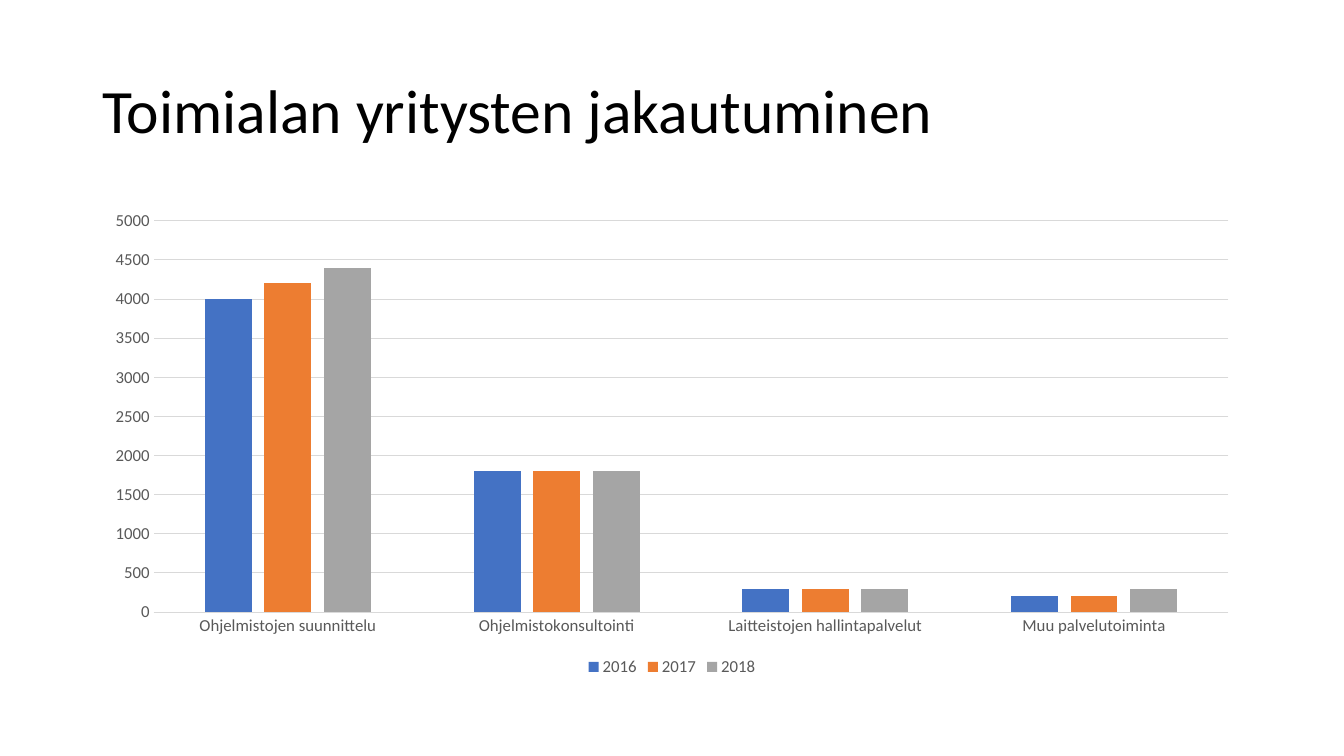
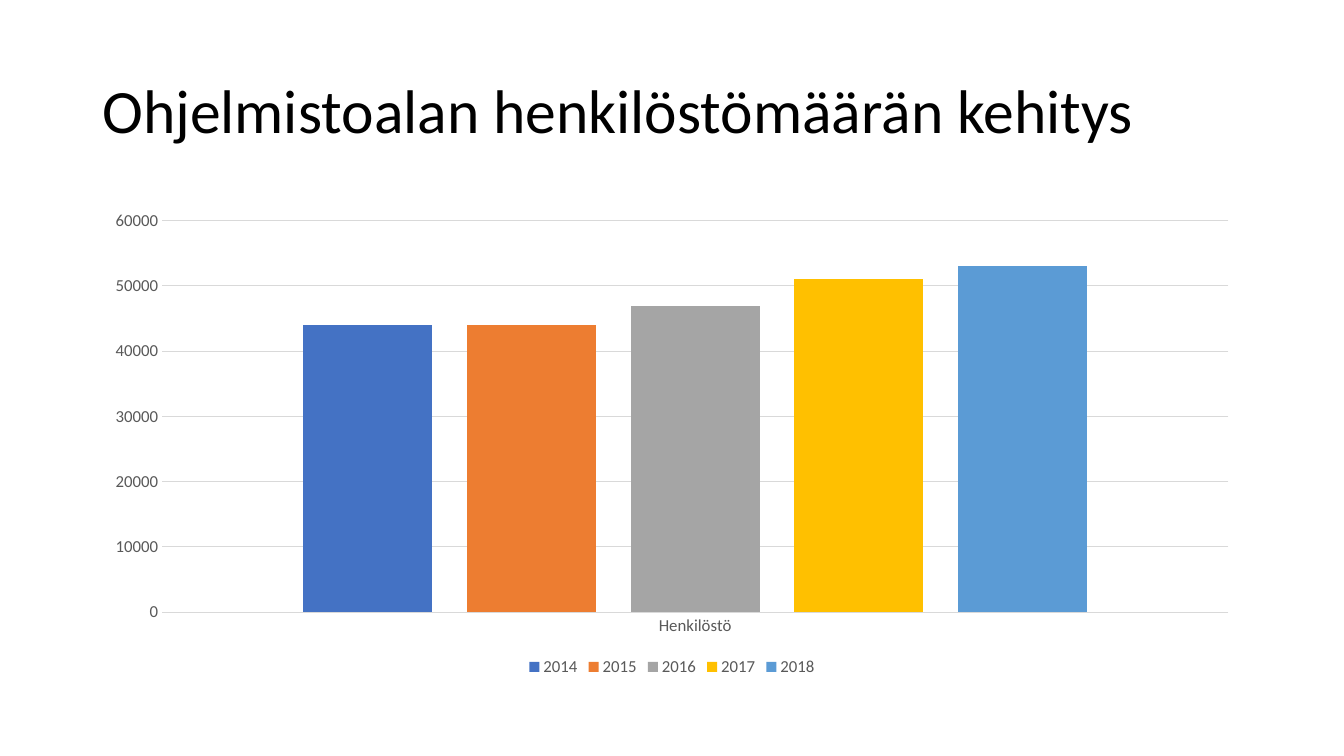
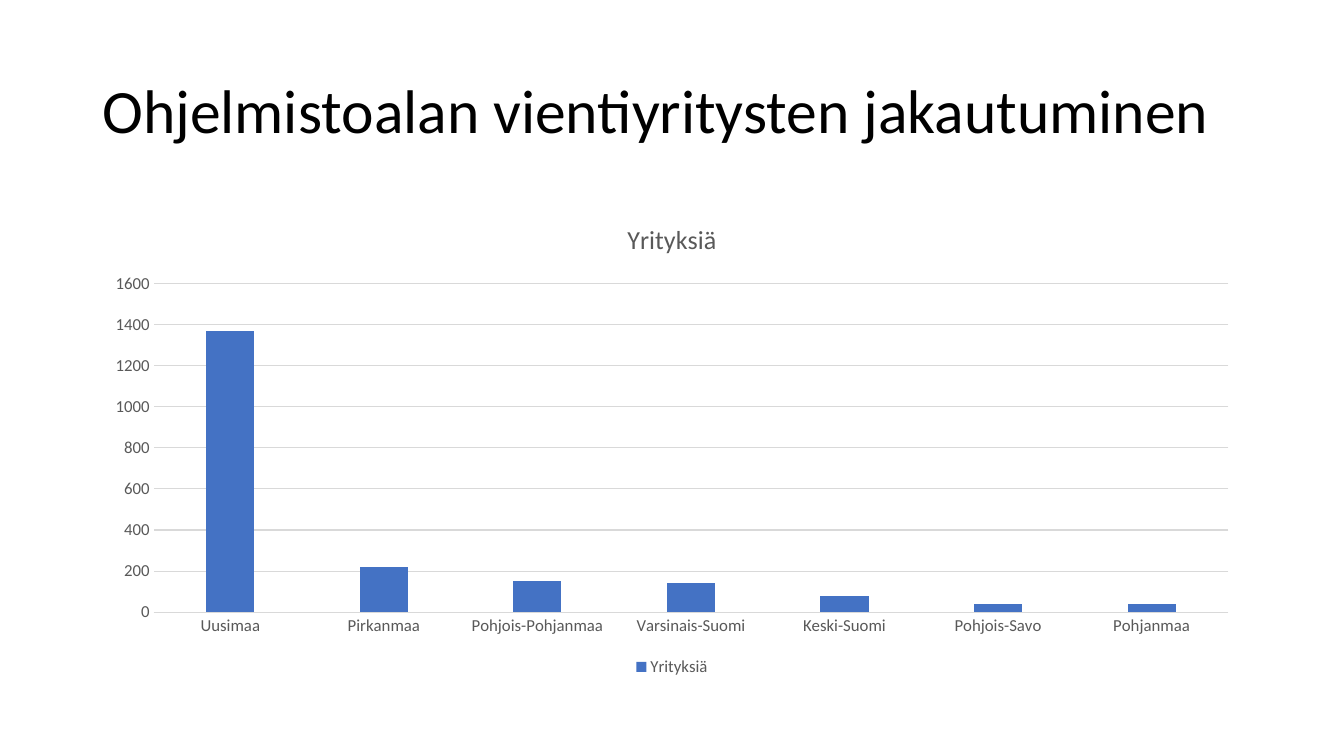
from dataclasses import dataclass

from pptx import Presentation
from pptx.chart.chart import Chart
from pptx.chart.data import CategoryChartData
from pptx.dml.color import RGBColor
from pptx.enum.chart import XL_CHART_TYPE, XL_LEGEND_POSITION, XL_TICK_MARK
from pptx.enum.text import MSO_ANCHOR
from pptx.slide import Slide
from pptx.text.text import Font, TextFrame
from pptx.util import Pt

COLUMN = XL_CHART_TYPE.COLUMN_CLUSTERED
BOTTOM = XL_LEGEND_POSITION.BOTTOM
NO_TICK = XL_TICK_MARK.NONE
MIDDLE = MSO_ANCHOR.MIDDLE

FACE = "Calibri"
BLACK, GREY, RULE = "000000", "595959", "D9D9D9"
HUES = ("4472C4", "ED7D31", "A5A5A5", "FFC000", "5B9BD5")
LEFT, WIDTH = 66, 828
TITLE_TOP, TITLE_HIGH = 28.75, 104.38
CHART_TOP, CHART_HIGH = 143.75, 342.63


@dataclass(frozen=True)
class Page:
    """One slide: a title over a column chart."""
    title: str
    cats: tuple[str, ...]
    rows: dict[str, tuple[int, ...]]
    top: int
    step: int
    head: str = ""


PAGES = (
    Page(
        "Toimialan yritysten jakautuminen",
        ("Ohjelmistojen suunnittelu", "Ohjelmistokonsultointi",
         "Laitteistojen hallintapalvelut", "Muu palvelutoiminta"),
        {"2016": (4000, 1800, 300, 200),
         "2017": (4200, 1800, 300, 200),
         "2018": (4400, 1800, 300, 300)},
        top=5000, step=500,
    ),
    Page(
        "Ohjelmistoalan henkilöstömäärän kehitys",
        ("Henkilöstö",),
        {"2014": (44000,), "2015": (44000,), "2016": (47000,),
         "2017": (51000,), "2018": (53000,)},
        top=60000, step=10000,
    ),
    Page(
        "Ohjelmistoalan vientiyritysten jakautuminen",
        ("Uusimaa", "Pirkanmaa", "Pohjois-Pohjanmaa", "Varsinais-Suomi",
         "Keski-Suomi", "Pohjois-Savo", "Pohjanmaa"),
        {"Yrityksiä": (1370, 220, 150, 140, 80, 40, 40)},
        top=1600, step=200, head="Yrityksiä",
    ),
)


def shade(code: str) -> RGBColor:
    """Turn a hex string into a colour."""
    return RGBColor.from_string(code)


def style(font: Font, size: float, hue: str) -> None:
    """Set face, size and colour of a font."""
    font.name, font.size, font.bold = FACE, Pt(size), False
    font.color.rgb = shade(hue)


def write(frame: TextFrame, text: str, *, size: float, hue: str = BLACK,
          space: float = 1.0) -> None:
    """Put one formatted line of text into a frame."""
    line = frame.paragraphs[0]
    line.line_spacing = space
    run = line.add_run()
    run.text = text
    style(run.font, size, hue)


def add_title(slide: Slide, text: str) -> None:
    """Add the slide title."""
    box = slide.shapes.add_textbox(
        Pt(LEFT), Pt(TITLE_TOP), Pt(WIDTH), Pt(TITLE_HIGH))
    frame = box.text_frame
    frame.word_wrap = True
    frame.vertical_anchor = MIDDLE
    write(frame, text, size=44, space=0.9)


def set_axes(chart: Chart, page: Page) -> None:
    """Format both axes and the grid."""
    base, scale = chart.category_axis, chart.value_axis
    for axis in (base, scale):
        axis.major_tick_mark = axis.minor_tick_mark = NO_TICK
        style(axis.tick_labels.font, 12, GREY)
    scale.minimum_scale, scale.maximum_scale = 0, page.top
    scale.major_unit = page.step
    scale.format.line.fill.background()
    for line in (base.format.line, scale.major_gridlines.format.line):
        line.color.rgb = shade(RULE)
        line.width = Pt(0.75)


def add_chart(slide: Slide, page: Page) -> None:
    """Add the column chart of a page."""
    data = CategoryChartData(number_format="General")
    data.categories = page.cats
    for name, vals in page.rows.items():
        data.add_series(name, vals)
    chart = slide.shapes.add_chart(
        COLUMN, Pt(LEFT), Pt(CHART_TOP), Pt(WIDTH), Pt(CHART_HIGH), data).chart
    style(chart.font, 10, BLACK)
    chart.has_title = bool(page.head)
    if page.head:
        write(chart.chart_title.text_frame, page.head, size=18.6, hue=GREY)
        chart.chart_title.include_in_layout = False
    chart.has_legend = True
    chart.legend.position = BOTTOM
    chart.legend.include_in_layout = False
    style(chart.legend.font, 12, GREY)
    set_axes(chart, page)
    plot = chart.plots[0]
    plot.gap_width, plot.overlap = 219, -27
    plot.vary_by_categories = False
    for bars, hue in zip(plot.series, HUES):
        bars.format.fill.solid()
        bars.format.fill.fore_color.rgb = shade(hue)
        bars.invert_if_negative = False


def main() -> None:
    """Build and save the deck."""
    deck = Presentation()
    deck.slide_width, deck.slide_height = Pt(960), Pt(540)
    blank = deck.slide_layouts[6]
    for page in PAGES:
        slide = deck.slides.add_slide(blank)
        add_title(slide, page.title)
        add_chart(slide, page)
    deck.save("out.pptx")


main()
